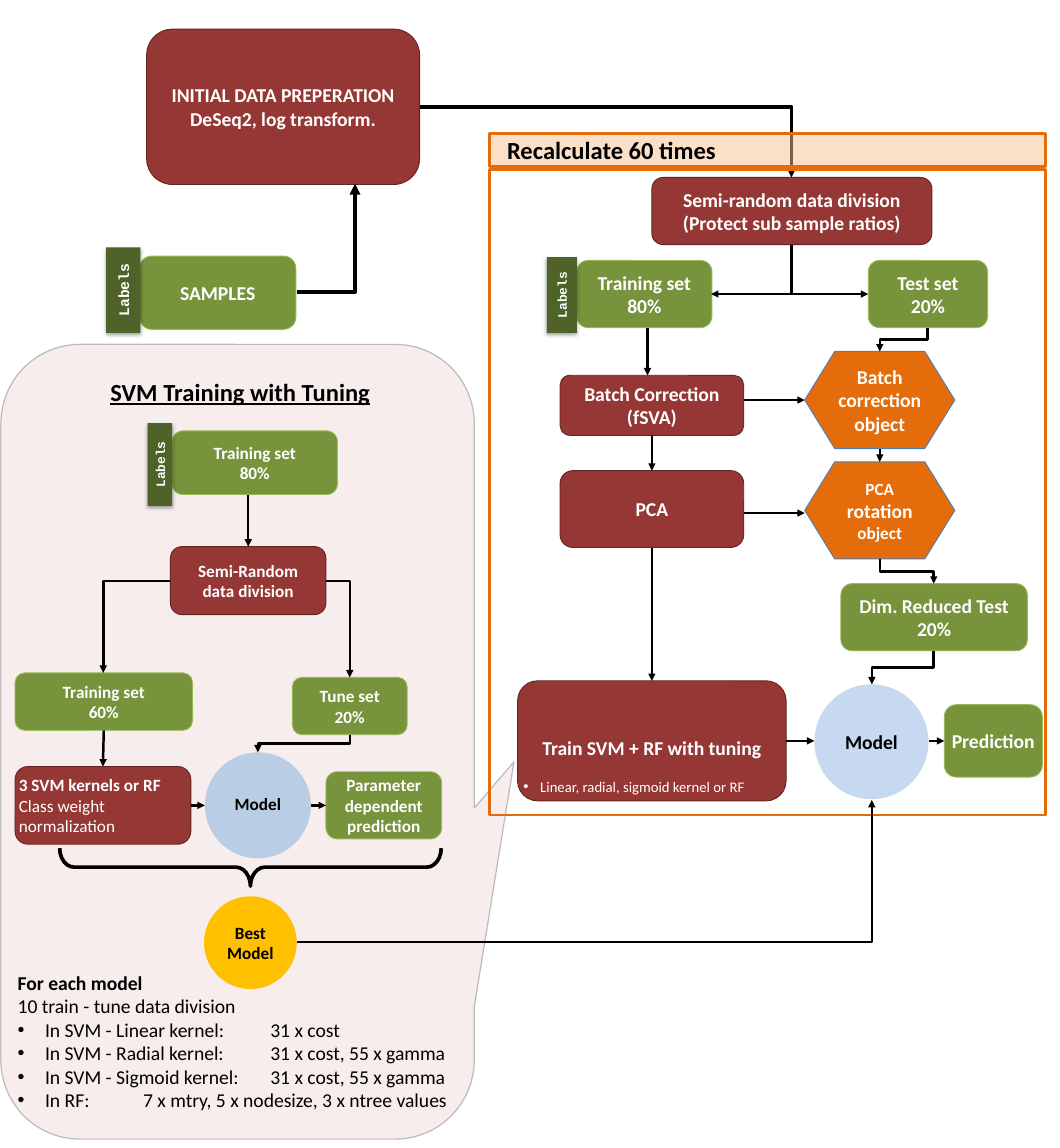
from dataclasses import dataclass
from typing import Any

from lxml import etree
from pptx import Presentation
from pptx.dml.color import RGBColor
from pptx.enum.shapes import MSO_CONNECTOR, MSO_SHAPE
from pptx.enum.text import MSO_ANCHOR, MSO_AUTO_SIZE, PP_ALIGN
from pptx.oxml.ns import qn
from pptx.util import Pt

PX = 9144  # 100 px to the inch
LEFT, CENTER = PP_ALIGN.LEFT, PP_ALIGN.CENTER
TOP, MIDDLE, BOTTOM = MSO_ANCHOR.TOP, MSO_ANCHOR.MIDDLE, MSO_ANCHOR.BOTTOM
STRAIGHT, ELBOW = MSO_CONNECTOR.STRAIGHT, MSO_CONNECTOR.ELBOW
ROUNDED = MSO_SHAPE.FLOWCHART_ALTERNATE_PROCESS
HEXAGON = MSO_SHAPE.FLOWCHART_PREPARATION
CALLOUT = MSO_SHAPE.ROUNDED_RECTANGULAR_CALLOUT
RECTANGLE, OVAL, BRACE = MSO_SHAPE.RECTANGLE, MSO_SHAPE.OVAL, MSO_SHAPE.RIGHT_BRACE
SIDE_TOP, SIDE_LEFT, SIDE_BOTTOM, SIDE_RIGHT = range(4)
BLACK, WHITE, ORANGE = "000000", "FFFFFF", "E46C0A"
RED_BOX = dict(kind=ROUNDED, fill="953735", line="632523")
GREEN_BOX = dict(kind=ROUNDED, fill="77933C", line="98B955")
ORANGE_BOX = dict(kind=HEXAGON, fill=ORANGE, line="4B7EBC")


def rgb(value):
    return RGBColor.from_string(value)


def add_xml(parent, tag, **attributes):
    return etree.SubElement(parent, qn(tag), {key: str(value) for key, value in attributes.items()})


def set_alpha(properties, percent):
    color = next(properties.iter(qn("a:srgbClr")))
    add_xml(color, "a:alpha", val=percent * 1000)


def set_bullet(paragraph, indent=0, tabs=()):
    """Give the paragraph a hanging bullet, or none when indent is 0."""
    properties = paragraph._p.get_or_add_pPr()
    properties.set("marL", str(indent * PX))
    properties.set("indent", str(-indent * PX))
    if indent:
        add_xml(properties, "a:buFont", typeface="Arial")
        add_xml(properties, "a:buChar", char="•")
    else:
        add_xml(properties, "a:buNone")
    if tabs:
        stops = add_xml(properties, "a:tabLst")
        for stop in tabs:
            add_xml(stops, "a:tab", pos=stop * PX, algn="l")


def write(frame, paragraphs, size=16, color=WHITE, font="Calibri", bold=True, underline=False,
          align=CENTER, anchor=MIDDLE, insets=(10, 5, 10, 5)):
    """Fill a frame; a paragraph is a string or a list of (text, size, bold) runs."""
    frame.word_wrap = True
    frame.auto_size = MSO_AUTO_SIZE.NONE
    frame.vertical_anchor = anchor
    frame.margin_left, frame.margin_top, frame.margin_right, frame.margin_bottom = (
        inset * PX for inset in insets)
    for index, content in enumerate(paragraphs):
        paragraph = frame.add_paragraph() if index else frame.paragraphs[0]
        paragraph.alignment = align
        paragraph.space_before = Pt(0)
        runs = [(content, size, bold)] if isinstance(content, str) else content
        for text, run_size, run_bold in runs:
            for number, line in enumerate(text.split("\n")):
                if number:
                    paragraph.add_line_break()
                if line:
                    run = paragraph.add_run()
                    run.text = line
                    run.font.name, run.font.size = font, Pt(run_size)
                    run.font.bold, run.font.underline = run_bold, underline
                    run.font.color.rgb = rgb(color)


@dataclass
class Region:
    """A box on the slide; its parts are placed from its top left corner."""
    slide: Any
    left: int
    top: int
    width: int
    height: int

    def place(self, shape, left, top, width, height):
        shape.left, shape.top = (self.left + left) * PX, (self.top + top) * PX
        shape.width, shape.height = width * PX, height * PX

    def box(self, left, top, width, height, *paragraphs, kind=RECTANGLE, fill=None, line=None,
            line_width=0.75, alpha=None, rotation=0, **text_format):
        shape = self.slide.shapes.add_shape(kind, 0, 0, 0, 0)
        self.place(shape, left, top, width, height)
        shape.shadow.inherit = False
        shape.rotation = rotation
        if fill:
            shape.fill.solid()
            shape.fill.fore_color.rgb = rgb(fill)
            if alpha:
                set_alpha(shape._element.spPr.find(qn("a:solidFill")), alpha)
        else:
            shape.fill.background()
        if line:
            shape.line.color.rgb = rgb(line)
            shape.line.width = Pt(line_width)
        else:
            shape.line.fill.background()
        if paragraphs:
            write(shape.text_frame, paragraphs, **text_format)
        return shape

    def label(self, left, top, width, height, size=10.5):
        shape = self.box(left, top, width, height, "Labels", fill="4F6228", rotation=270,
                         size=size, font="Courier New")
        effects = shape._element.spPr.find(qn("a:effectLst"))
        shadow = add_xml(effects, "a:outerShdw", blurRad=39370, dist=22860, dir=5400000, rotWithShape=0)
        set_alpha(add_xml(shadow, "a:srgbClr", val=BLACK).getparent(), 35)

    def connector(self, kind, x1, y1, x2, y2, width):
        points = [self.left + x1, self.top + y1, self.left + x2, self.top + y2]
        connector = self.slide.shapes.add_connector(kind, *(round(point * PX) for point in points))
        connector.line.color.rgb = rgb(BLACK)
        connector.line.width = Pt(width)
        properties = connector._element.spPr
        add_xml(properties.find(qn("a:ln")), "a:tailEnd", type="triangle")
        add_xml(properties, "a:effectLst")
        return connector

    def arrow(self, x1, y1, x2, y2, begin=None, end=None, width=2):
        """Straight arrow; begin and end are (shape, side) pairs to join."""
        connector = self.connector(STRAIGHT, x1, y1, x2, y2, width)
        if begin:
            connector.begin_connect(*begin)
        if end:
            connector.end_connect(*end)

    def elbow(self, x1, y1, x2, y2, vertical=False, bends=1, width=2):
        """Bent arrow that leaves sideways, or downwards when vertical."""
        rightwards = x2 > x1
        if vertical:
            middle_x, middle_y = (x1 + x2) / 2, (y1 + y2) / 2
            half_width, half_height = abs(y2 - y1) / 2, abs(x2 - x1) / 2
            x1, x2 = middle_x - half_width, middle_x + half_width
            y1, y2 = middle_y - half_height, middle_y + half_height
            if rightwards:
                x1, x2 = x2, x1
        connector = self.connector(ELBOW, x1, y1, x2, y2, width)
        properties = connector._element.spPr
        properties.find(qn("a:prstGeom")).set("prst", f"bentConnector{bends + 1}")
        if vertical:
            properties.find(qn("a:xfrm")).set("rot", str((270 if rightwards else 90) * 60000))


def draw_preparation(region):
    region.box(75, 0, 309, 176, "INITIAL DATA PREPERATION", "DeSeq2, log transform.", **RED_BOX)
    region.elbow(245, 298, 311, 175, width=3)
    region.box(67, 257, 177, 83, "SAMPLES", **GREEN_BOX)
    region.label(0, 276, 97, 39, size=12)


def draw_recalculation(region):
    region.box(0, 41, region.width, region.height - 41, line=ORANGE, line_width=2.25)
    region.box(0, 0, region.width, 38, "Recalculate 60 times", fill="FAC090", alpha=50, line=ORANGE,
               line_width=2.25, size=20, color=BLACK, align=LEFT, insets=(20, 5, 10, 5))
    region.box(184, 50, 317, 76, "Semi-random data division", "(Protect sub sample ratios)", **RED_BOX)
    region.box(99, 144, 153, 76, "Training set\n80%", **GREEN_BOX)
    region.label(39, 166, 86, 34)
    region.box(429, 144, 135, 76, "Test set\n20%", **GREEN_BOX)
    batch = region.box(80, 274, 208, 68, "Batch Correction (fSVA)", **RED_BOX)
    pca = region.box(80, 382, 208, 87, "PCA", **RED_BOX)
    batch_object = region.box(357, 247, 170, 110, "Batch\ncorrection object",
                              insets=(0, 5, 0, 5), **ORANGE_BOX)
    pca_object = region.box(357, 372, 170, 110, [("PCA\n", 14, True), ("rotation", 16, True),
                                                 (" object", 14, True)], **ORANGE_BOX)
    region.box(398, 510, 211, 76, "Dim. Reduced Test", "20%", **GREEN_BOX)
    train = region.box(32, 620, 304, 136, "Train SVM + RF with tuning",
                       [("Linear, radial, sigmoid kernel or RF", 12, False)],
                       anchor=BOTTOM, insets=(0, 5, 0, 0), **RED_BOX)
    kernels = train.text_frame.paragraphs[1]
    kernels.alignment, kernels.space_before = LEFT, Pt(15)
    set_bullet(kernels, 19)
    region.box(368, 624, 129, 130, "Model", kind=OVAL, fill="C6D9F1", color=BLACK)
    prediction = region.box(515, 647, 111, 82, "Prediction", insets=(2, 5, 2, 5), **GREEN_BOX)

    for set_side in (251, 429):
        region.elbow(342, 126, set_side, 182, vertical=True)
    for points in ((496, 220, 442, 247), (442, 482, 503, 510), (503, 586, 433, 624)):
        region.elbow(*points, vertical=True, bends=2)
    region.arrow(179, 220, 179, 274)
    region.arrow(288, 302, 357, 302, end=(batch_object, SIDE_LEFT))
    region.arrow(288, 430, 357, 430)
    region.arrow(184, 342, 184, 382, (batch, SIDE_BOTTOM), (pca, SIDE_TOP))
    region.arrow(184, 469, 184, 620, (pca, SIDE_BOTTOM), (train, SIDE_TOP), width=1.5)
    region.arrow(442, 357, 442, 372, (batch_object, SIDE_BOTTOM), (pca_object, SIDE_TOP))
    region.arrow(336, 688, 368, 688, begin=(train, SIDE_RIGHT))
    region.arrow(498, 688, 515, 688, end=(prediction, SIDE_LEFT))


def draw_tuning(region):
    callout = region.box(0, 0, region.width, region.height, kind=CALLOUT, fill="E6B9B8", alpha=25,
                         line=BLACK, line_width=1)
    set_alpha(callout._element.spPr.find(qn("a:ln")), 24)
    for index, value in enumerate((0.584, 0.025, 0.167)):
        callout.adjustments[index] = value
    narrow = dict(size=14, insets=(0, 5, 0, 5))
    region.box(194, 98, 187, 72, "Training set\n80%", **narrow, **GREEN_BOX)
    region.label(133, 122, 94, 28)
    division = region.box(192, 229, 176, 77, "Semi-Random data division", size=14, **RED_BOX)
    training = region.box(16, 372, 201, 65, "Training set\n60%", size=14, **GREEN_BOX)
    region.box(330, 377, 130, 65, "Tune set\n20%", size=14, **GREEN_BOX)
    kernels = region.box(16, 478, 199, 88, "3 SVM kernels or RF",
                         [("Class weight normalization", 14, False)], align=LEFT, **narrow, **RED_BOX)
    region.box(231, 462, 120, 120, "Model", kind=OVAL, fill="B9CDE5", color=BLACK, size=14,
               insets=(0, 0, 0, 5))
    parameter = region.box(368, 484, 131, 76, "Parameter dependent prediction", **narrow, **GREEN_BOX)
    brace = region.box(261, 376, 43, 432, kind=BRACE, line=BLACK, line_width=3, rotation=90)
    brace.adjustments[0] = 0.381
    region.box(230, 625, 105, 105, "Best", "Model", kind=OVAL, fill="FFC000", color=BLACK, size=14)

    region.arrow(280, 170, 280, 229, end=(division, SIDE_TOP))
    region.arrow(116, 437, 116, 478, (training, SIDE_BOTTOM), (kernels, SIDE_TOP))
    region.arrow(215, 522, 231, 522, begin=(kernels, SIDE_RIGHT))
    region.arrow(351, 522, 368, 522, end=(parameter, SIDE_LEFT))
    region.elbow(368, 268, 395, 377)
    region.elbow(192, 268, 116, 372)
    region.elbow(395, 442, 291, 462, vertical=True, bends=2)

    title, body = region.slide.placeholders
    for placeholder in (title, body):
        region.slide.shapes._spTree.append(placeholder._element)
    region.place(title, 97, 32, 348, 44)
    write(title.text_frame, ["SVM Training with Tuning"], size=20, color=BLACK, underline=True, anchor=TOP)
    region.place(body, 9, 704, 516, 199)
    write(body.text_frame, [
        [("For each model \n", 16, True), ("10 train - tune data division", 16, False)],
        "In SVM - Linear kernel: \t31 x cost",
        "In SVM - Radial kernel:\t31 x cost, 55 x gamma",
        "In SVM - Sigmoid kernel: \t31 x cost, 55 x gamma",
        "In RF:\t7 x mtry, 5 x nodesize, 3 x ntree values",
    ], color=BLACK, bold=False, align=LEFT, anchor=TOP)
    heading, *settings = body.text_frame.paragraphs
    set_bullet(heading)
    for paragraph in settings:
        set_bullet(paragraph, 31, tabs=(142, 286))


def main():
    presentation = Presentation()
    presentation.slide_width, presentation.slide_height = 1200 * PX, 1300 * PX
    slide = presentation.slides.add_slide(presentation.slide_layouts[1])
    whole = Region(slide, 0, 0, 1200, 1300)
    draw_tuning(Region(slide, 1, 390, 536, 900))
    whole.elbow(476, 121, 896, 201, width=3)
    draw_preparation(Region(slide, 91, 33, 385, 340))
    draw_recalculation(Region(slide, 554, 151, 630, 772))
    whole.elbow(336, 1067, 987, 906)
    presentation.save("out.pptx")


if __name__ == "__main__":
    main()
